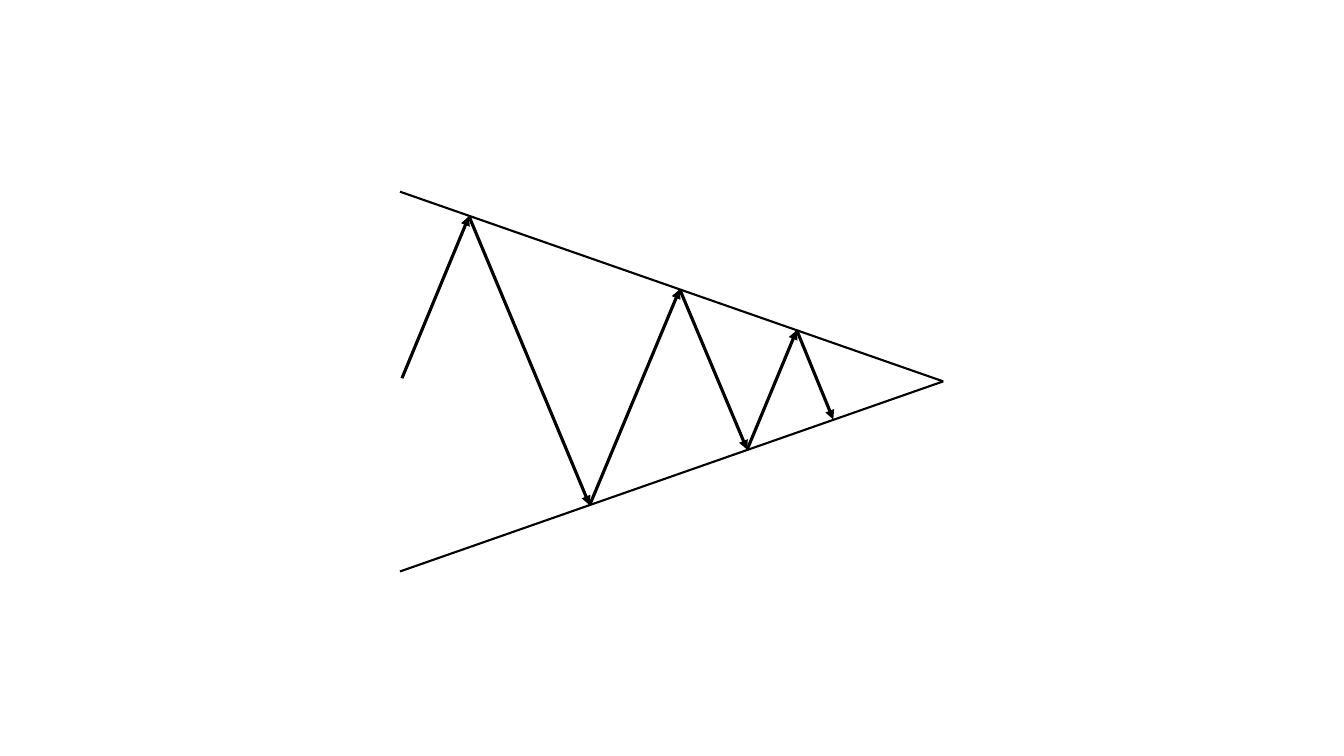
"""Build a slide with a zigzag of arrows inside two converging trend lines."""
from itertools import pairwise

from lxml.etree import SubElement
from pptx import Presentation
from pptx.dml.color import RGBColor
from pptx.enum.shapes import MSO_CONNECTOR
from pptx.oxml.ns import qn
from pptx.util import Cm, Pt

BLACK = RGBColor(0, 0, 0)

prs = Presentation()
prs.slide_width, prs.slide_height = Cm(33.87), Cm(19.05)
s = prs.slides.add_slide(prs.slide_layouts[6])


def add_line(start, end, width, arrow=False):
    x1, y1 = start
    x2, y2 = end
    line = s.shapes.add_connector(MSO_CONNECTOR.STRAIGHT, Cm(x1), Cm(y1), Cm(x2), Cm(y2))
    line.line.color.rgb = BLACK
    line.line.width = Pt(width)
    if arrow:
        SubElement(line.line._get_or_add_ln(), qn("a:tailEnd"), type="triangle")
    SubElement(line._element.spPr, qn("a:effectLst"))


apex = (23.77, 9.61)
for trend_start in [(10.08, 14.4), (10.08, 4.83)]:
    add_line(trend_start, apex, 1.5)

turning_points = [
    (10.13, 9.53),
    (11.82, 5.45),
    (14.86, 12.73),
    (17.13, 7.29),
    (18.83, 11.33),
    (20.08, 8.32),
    (21, 10.57),
]
for start, end in pairwise(turning_points):
    add_line(start, end, 2.25, arrow=True)

prs.save("out.pptx")
